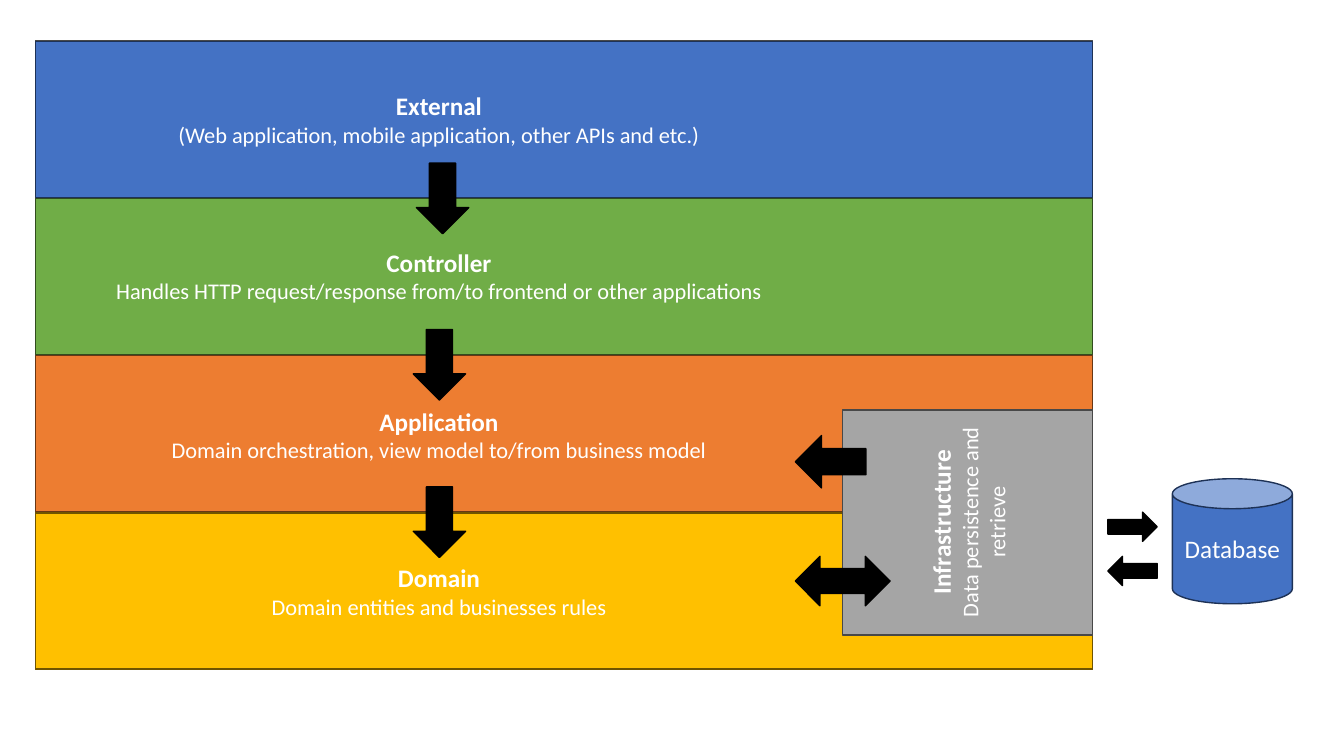
"""Draw a layered application architecture with its database."""
from pptx import Presentation
from pptx.dml.color import RGBColor
from pptx.enum.shapes import MSO_SHAPE
from pptx.enum.text import MSO_ANCHOR, MSO_AUTO_SIZE, PP_ALIGN
from pptx.util import Pt

RECTANGLE = MSO_SHAPE.RECTANGLE
CAN = MSO_SHAPE.CAN
DOWN_ARROW = MSO_SHAPE.DOWN_ARROW
LEFT_RIGHT_ARROW = MSO_SHAPE.LEFT_RIGHT_ARROW
CENTER = PP_ALIGN.CENTER
MIDDLE = MSO_ANCHOR.MIDDLE
FIT_SHAPE = MSO_AUTO_SIZE.SHAPE_TO_FIT_TEXT

COLORS = {
    "blue": "4472C4", "blue_edge": "1E3256",
    "green": "70AD47", "green_edge": "314C1F",
    "orange": "ED7D31", "orange_edge": "683715",
    "gold": "FFC000", "gold_edge": "705400",
    "gray": "A5A5A5", "gray_edge": "484848",
    "black": "000000", "black_edge": "000000",
    "white": "FFFFFF",
}
LEFT, WIDTH = 25.2, 755.3
LAYER_TOP, LAYER_PITCH, LAYER_HEIGHT = 29.5, 112.3, 111.6
LAYERS = [
    ("blue", "External", "(Web application, mobile application, other APIs and etc.)", 61.2),
    ("green", "Controller",
     "Handles HTTP request/response from/to frontend or other applications", 172.8),
    ("orange", "Application", "Domain orchestration, view model to/from business model", 286.6),
    ("gold", "Domain", "Domain entities and businesses rules", 398.2),
]
ARROWS = [
    (297.4, 116.6, 37.4, 50.4, 0),
    (295.2, 235.4, 37.4, 50.4, 0),
    (295.2, 347.8, 37.4, 50.4, 0),
    (574.6, 304.6, 37.4, 50.4, 90),
    (798.5, 390.2, 20.9, 35.3, 90),
    (798.5, 358.6, 20.9, 35.3, 270),
]


def rgb(name):
    """Return the named colour."""
    return RGBColor.from_string(COLORS[name])


def add_block(slide, kind, left, top, width, height, color, rotation=0):
    """Add a filled preset shape with its darker edge."""
    shape = slide.shapes.add_shape(kind, Pt(left), Pt(top), Pt(width), Pt(height))
    shape.shadow.inherit = False
    shape.rotation = rotation
    shape.fill.solid()
    shape.fill.fore_color.rgb = rgb(color)
    shape.line.color.rgb = rgb(f"{color}_edge")
    shape.line.width = Pt(1)
    return shape


def write(paragraph, text, size=18, bold=False, color="white"):
    """Write centred text into a paragraph."""
    paragraph.alignment = CENTER
    run = paragraph.add_run()
    run.text = text
    run.font.name = "Calibri"
    run.font.size = Pt(size)
    run.font.bold = bold
    run.font.color.rgb = rgb(color)


def add_caption(slide, title, detail, left, top, width, height, rotation=0):
    """Add a bold title above a line of detail."""
    box = slide.shapes.add_textbox(Pt(left), Pt(top), Pt(width), Pt(height))
    box.rotation = rotation
    frame = box.text_frame
    frame.word_wrap = True
    frame.auto_size = FIT_SHAPE
    write(frame.paragraphs[0], title, bold=True)
    write(frame.add_paragraph(), detail, size=16)


def main():
    """Build and save the slide."""
    presentation = Presentation()
    presentation.slide_width, presentation.slide_height = Pt(960), Pt(540)
    slide = presentation.slides.add_slide(presentation.slide_layouts[6])

    add_block(slide, RECTANGLE, LEFT, 28.8, WIDTH, 449.3, "gray")
    for index, (color, title, detail, caption_top) in enumerate(LAYERS):
        top = LAYER_TOP + index * LAYER_PITCH
        add_block(slide, RECTANGLE, LEFT, top, WIDTH, LAYER_HEIGHT, color)
        add_caption(slide, title, detail, LEFT, caption_top, 576.7, 48.2)

    add_block(slide, RECTANGLE, 601.9, 293, 178.6, 160.6, "gray")
    add_caption(slide, "Infrastructure", "Data persistence and retrieve",
                611.3, 339.1, 160.6, 67.7, rotation=270)

    database = add_block(slide, CAN, 837.4, 342, 85.7, 89.3, "blue")
    database.text_frame.vertical_anchor = MIDDLE
    write(database.text_frame.paragraphs[0], "Database")

    for left, top, width, height, rotation in ARROWS:
        add_block(slide, DOWN_ARROW, left, top, width, height, "black", rotation)
    add_block(slide, LEFT_RIGHT_ARROW, 568.1, 397.4, 67.7, 35.3, "black")

    presentation.save("out.pptx")


if __name__ == "__main__":
    main()
